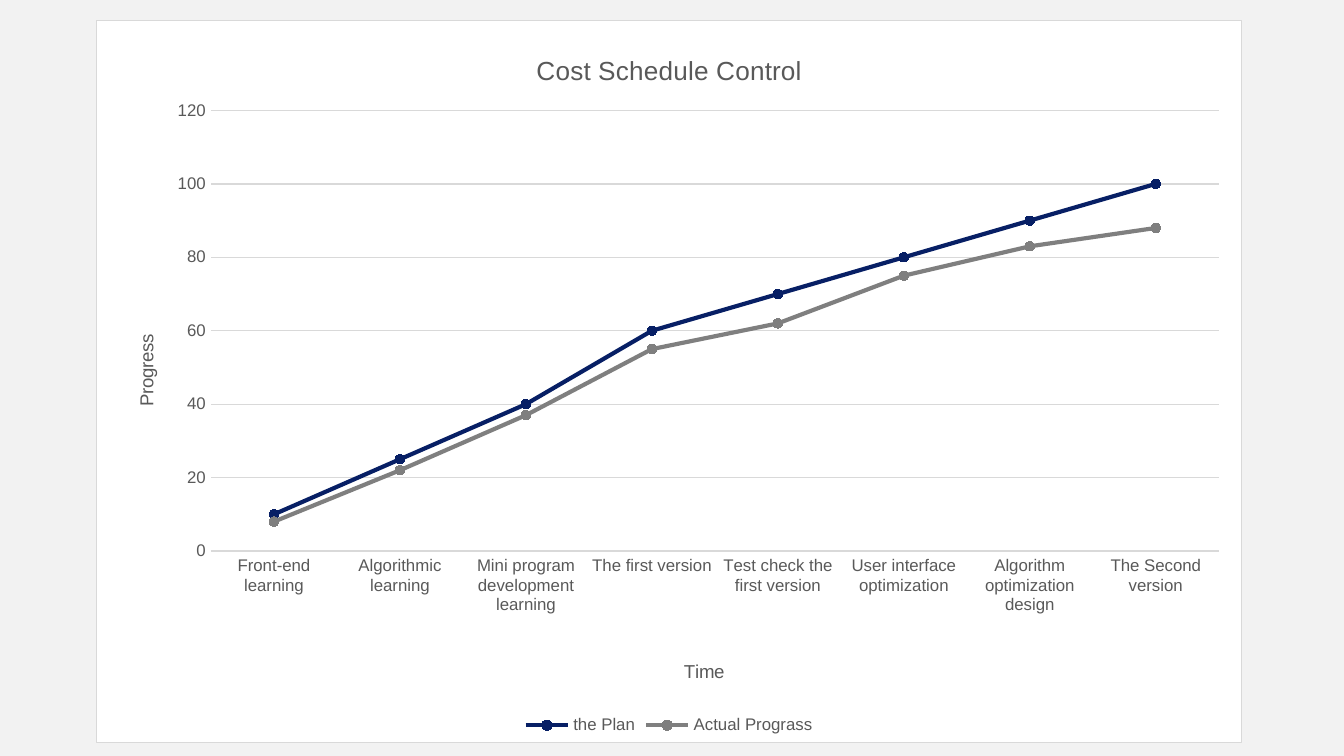
from lxml import etree
from pptx import Presentation
from pptx.chart.data import CategoryChartData
from pptx.dml.color import RGBColor
from pptx.enum import chart as kinds
from pptx.oxml import parse_xml
from pptx.oxml.ns import nsdecls, qn
from pptx.util import Cm, Pt

FONT = "Arial"
GREY = "595959"
RULE = "D9D9D9"
STAGES = [
    "Front-end learning", "Algorithmic learning",
    "Mini program development learning", "The first version",
    "Test check the first version", "User interface optimization",
    "Algorithm optimization design", "The Second version",
]
SERIES = {
    "the Plan": ("071F65", [10, 25, 40, 60, 70, 80, 90, 100]),
    "Actual Prograss": ("7F7F7F", [8, 22, 37, 55, 62, 75, 83, 88]),
}


def color(value):
    return RGBColor.from_string(value)


def set_font(font, size):
    values = {"name": FONT, "size": Pt(size), "bold": False}
    for name, value in values.items():
        setattr(font, name, value)
    font.color.rgb = color(GREY)


def set_line(line, value, width):
    line.color.rgb = color(value)
    line.width = Pt(width)


def place(element, after, **edges):
    for old in element.findall(qn("c:layout")):
        element.remove(old)
    layout = etree.Element(qn("c:layout"))
    manual = etree.SubElement(layout, qn("c:manualLayout"))
    values = {"xMode": "edge", "yMode": "edge", **edges}
    if after is None:
        values = {"layoutTarget": "inner", **values}
        element.insert(0, layout)
    else:
        element.find(qn(after)).addnext(layout)
    for name, value in values.items():
        etree.SubElement(manual, qn(f"c:{name}")).set("val", str(value))


def add_title(owner, wording, size, x, y):
    title = owner.chart_title if hasattr(owner, "chart_title") else owner.axis_title
    title.text_frame.text = wording
    set_font(title.text_frame.paragraphs[0].runs[0].font, size)
    place(title._element, "c:tx", x=x, y=y)


def style_frame(chart):
    space = chart._chartSpace
    if space.find(qn("c:roundedCorners")) is None:
        corners = etree.Element(qn("c:roundedCorners"))
        corners.set("val", "0")
        space.find(qn("c:date1904")).addnext(corners)
    frame = parse_xml(
        f'<c:spPr {nsdecls("c", "a")}>'
        '<a:solidFill><a:srgbClr val="FFFFFF"/></a:solidFill>'
        f'<a:ln w="{Pt(0.75)}"><a:solidFill><a:srgbClr val="{RULE}"/></a:solidFill></a:ln>'
        '</c:spPr>'
    )
    space.find(qn("c:chart")).addnext(frame)


def style_axes(chart):
    for axis in (chart.category_axis, chart.value_axis):
        axis.major_tick_mark = kinds.XL_TICK_MARK.NONE
        axis.minor_tick_mark = kinds.XL_TICK_MARK.NONE
        set_font(axis.tick_labels.font, 9)
    set_line(chart.category_axis.format.line, RULE, 0.75)
    values = chart.value_axis
    limits = {"minimum_scale": 0, "maximum_scale": 120, "major_unit": 20}
    for name, value in limits.items():
        setattr(values, name, value)
    values.format.line.fill.background()
    set_line(values.major_gridlines.format.line, RULE, 0.75)


def style_series(chart):
    for series in chart.plots[0].series:
        shade = SERIES[series.name][0]
        series.smooth = False
        set_line(series.format.line, shade, 2.25)
        marker = series.marker
        marker.style = kinds.XL_MARKER_STYLE.CIRCLE
        marker.size = 5
        marker.format.fill.solid()
        marker.format.fill.fore_color.rgb = color(shade)
        set_line(marker.format.line, shade, 0.75)


def add_legend(chart):
    chart.has_legend = True
    legend = chart.legend
    legend.position = kinds.XL_LEGEND_POSITION.BOTTOM
    legend.include_in_layout = False
    set_font(legend.font, 9)
    place(legend._element, "c:legendPos", x=0.37, y=0.96, w=0.26, h=0.04)


def add_progress_chart(page):
    data = CategoryChartData()
    data.categories = STAGES
    for name, (_, values) in SERIES.items():
        data.add_series(name, values)
    chart = page.shapes.add_chart(
        kinds.XL_CHART_TYPE.LINE_MARKERS,
        Cm(1.81), Cm(0.37), Cm(21.67), Cm(13.68), data,
    ).chart
    set_font(chart.font, 10)
    chart.plots[0].vary_by_categories = False
    style_frame(chart)
    style_axes(chart)
    style_series(chart)
    add_legend(chart)
    add_title(chart, "Cost Schedule Control", 14, 0.38, 0.04)
    add_title(chart.category_axis, "Time", 10, 0.51, 0.88)
    add_title(chart.value_axis, "Progress", 10, 0.03, 0.43)
    plot_area = chart._chartSpace.chart.plotArea
    place(plot_area, None, x=0.1, y=0.125, w=0.88, h=0.61)


def main():
    deck = Presentation()
    deck.slide_width, deck.slide_height = Cm(25.4), Cm(14.29)
    page = deck.slides.add_slide(deck.slide_layouts[6])
    page.background.fill.solid()
    page.background.fill.fore_color.rgb = color("F2F2F2")
    add_progress_chart(page)
    deck.save("out.pptx")


if __name__ == "__main__":
    main()
